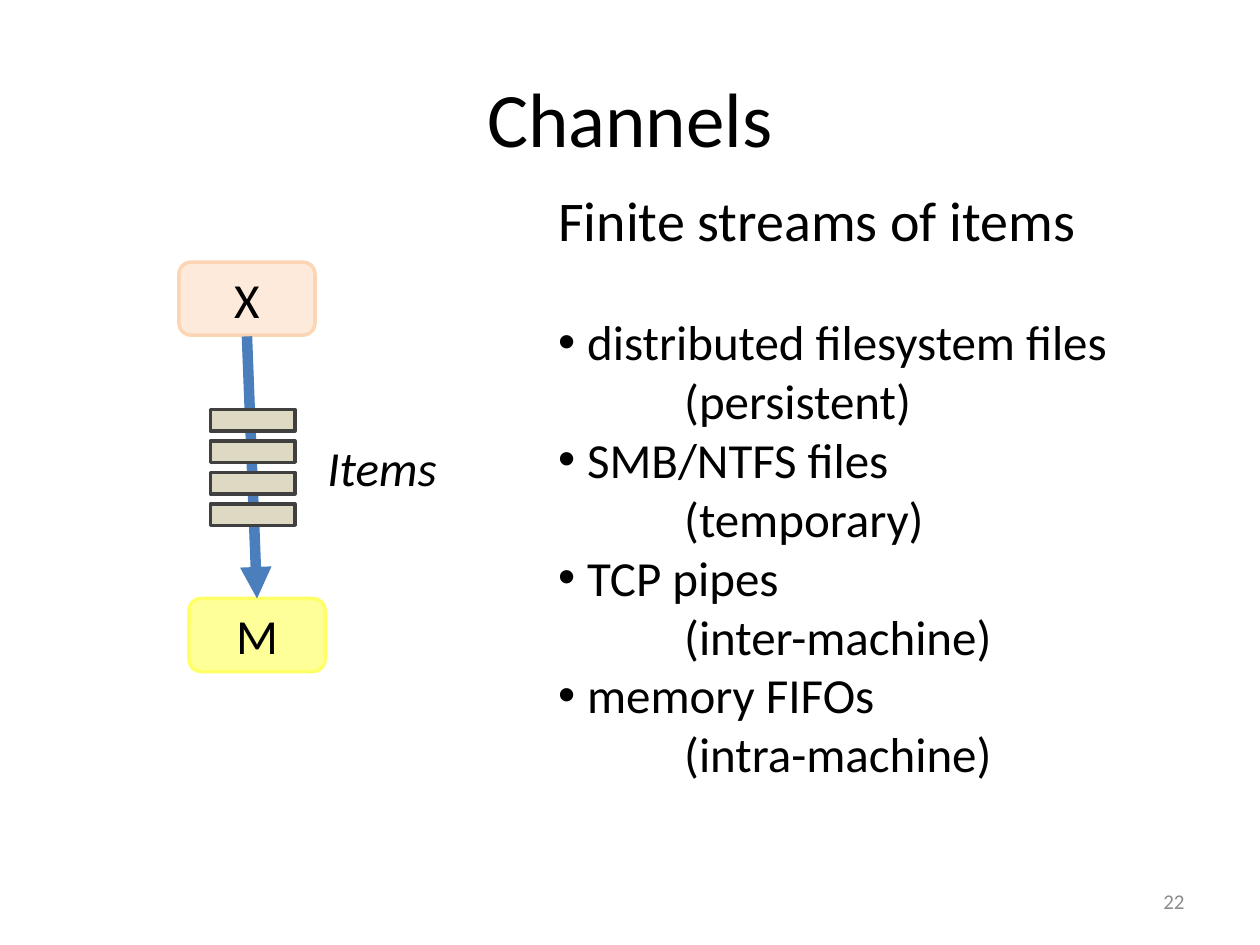
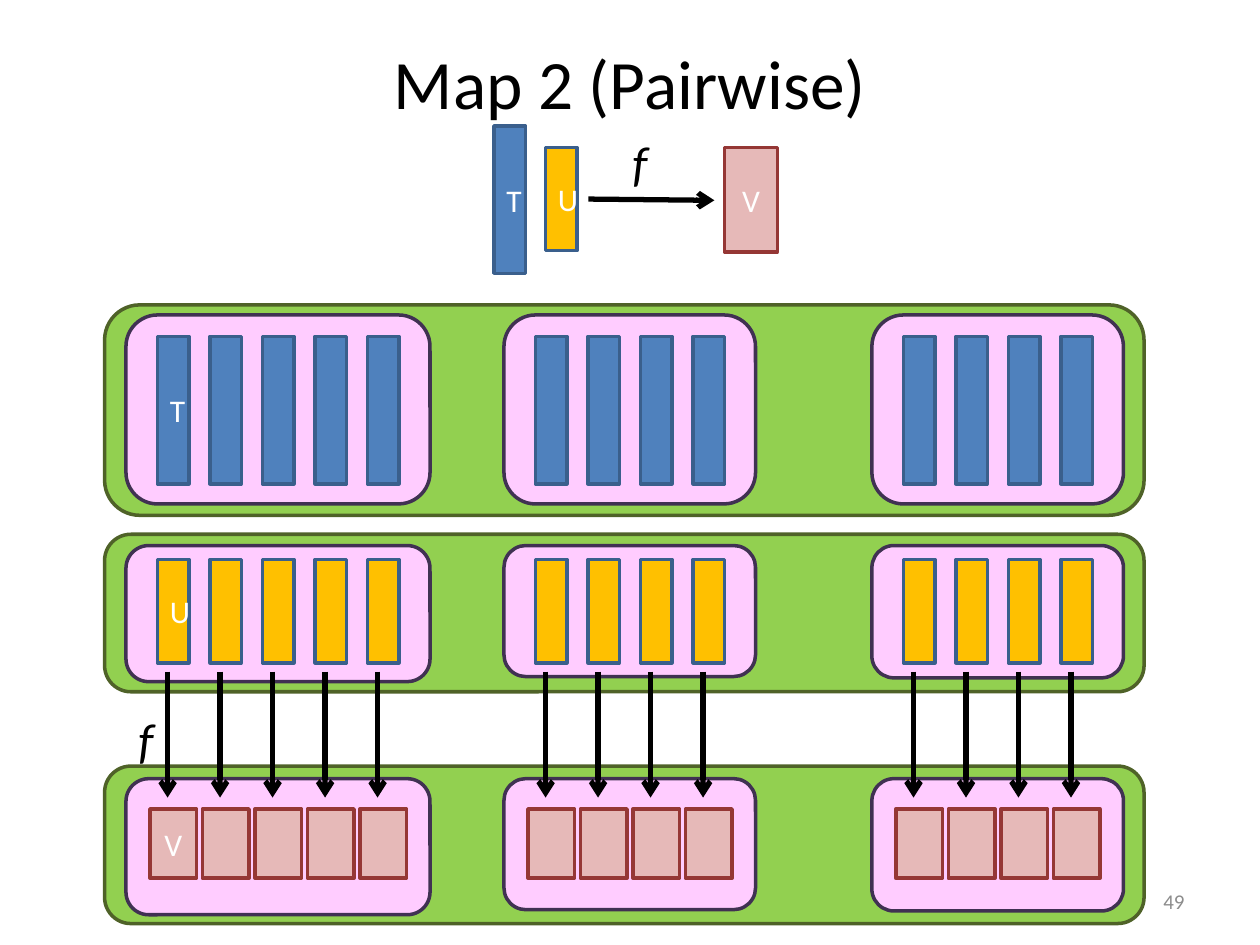
from dataclasses import dataclass
from pptx import Presentation
from pptx.dml.color import RGBColor
from pptx.enum.shapes import MSO_CONNECTOR as Connector, MSO_SHAPE as Preset
from pptx.enum.text import MSO_ANCHOR as Anchor, MSO_AUTO_SIZE as AutoSize, PP_ALIGN as Align
from pptx.oxml.ns import qn
from pptx.util import Inches, Pt
from lxml.etree import SubElement


@dataclass(frozen=True)
class Theme:
    font: str = "Calibri"
    ink: str = "000000"
    white: str = "FFFFFF"
    muted: str = "8C8C8C"
    channel: str = "4B7EBC"
    # Fill and outline of each kind of box
    source: tuple = ("FDEADA", "FCD5B5")
    target: tuple = ("FFFF99", "FFFF66")
    item: tuple = ("DDD9C3", "404040")
    band: tuple = ("92D050", "4F6228")
    partition: tuple = ("FFCCFF", "403152")
    t: tuple = ("4F81BD", "3A5F8C")
    u: tuple = ("FFC000", "3A5F8C")
    v: tuple = ("E6B9B8", "953735")
    title_size: float = 44
    tight_title_size: float = 39.6
    heading_size: float = 32
    body_size: float = 28
    record_size: float = 18
    number_size: float = 12
    outline: float = 2


THEME = Theme()

# Content: channels
CHANNELS_TITLE, CHANNELS_NUMBER = "Channels", "22"
CHANNELS_HEADING = "Finite streams of items"
CHANNEL_KINDS = [
    ("distributed filesystem files", "(persistent)"),
    ("SMB/NTFS files", "(temporary)"),
    ("TCP pipes", "(inter-machine)"),
    ("memory FIFOs", "(intra-machine)"),
]
VERTICES = [("X", (1.42, 2.08), THEME.source), ("M", (1.5, 4.75), THEME.target)]
VERTEX_SIZE = (1.08, 0.58)
ITEM_COUNT, ITEM_TOP, ITEM_PITCH = 4, 3.25, 0.25

# Content: pairwise map
MAP_TITLE, MAP_NUMBER = "Map 2 (Pairwise)", "49"
LEGEND = [
    ("T", (3.92, 1, 0.25, 1.17), THEME.t),
    ("U", (4.33, 1.17, 0.25, 0.82), THEME.u),
    ("V", (5.75, 1.17, 0.42, 0.83), THEME.v),
]
FUNCTION_LABELS = [(4.92, 1), (1, 5.58)]
PARTITIONS = [(1, 5), (4, 4), (6.92, 4)]  # left edge, number of records
RECORD_PITCH = 5 / 12
SHORT_PARTITIONS = (1.08, 1.04, 1.05)
COLLECTIONS = [
    dict(label="V", colors=THEME.v, band=(6.08, 1.25), top=6.18,
         heights=SHORT_PARTITIONS, inset=0.19, record=(6.42, 0.37, 0.55)),
    dict(label="U", colors=THEME.u, band=(4.24, 1.25), top=4.33,
         heights=SHORT_PARTITIONS, inset=0.25, record=(4.44, 0.25, 0.82)),
    dict(label="T", colors=THEME.t, band=(2.42, 1.67), top=2.5,
         heights=(1.5, 1.5, 1.5), inset=0.25, record=(2.67, 0.25, 1.17)),
]
BAND_LEFT, BAND_WIDTH = 0.83, 8.25
MAP_ARROW_INSET, MAP_ARROW_SPAN = 0.33, (5.33, 6.33)


# Shared helpers
def rgb(color):
    return RGBColor.from_string(color)


def write(paragraph, text, *, size, color=THEME.ink, italic=False, align=Align.LEFT, after=0):
    paragraph.alignment = align
    paragraph.space_before, paragraph.space_after = Pt(0), Pt(after)
    run = paragraph.add_run()
    run.text = text
    run.font.name, run.font.size = THEME.font, Pt(size)
    run.font.italic = italic
    run.font.color.rgb = rgb(color)


def set_indent(paragraph, left, bullet=None):
    """Indent a paragraph; with a bullet, hang it at the left edge."""
    props = paragraph._p.get_or_add_pPr()
    props.set("marL", str(Inches(left)))
    props.set("indent", str(Inches(-left if bullet else 0)))
    if bullet:
        SubElement(props, qn("a:buChar")).set("char", bullet)
    else:
        SubElement(props, qn("a:buNone"))


def place(shape, area):
    shape.left, shape.top, shape.width, shape.height = map(Inches, area)


def add_label(slide, area, text, *, wrap=False, anchor=Anchor.TOP, **style):
    frame = slide.shapes.add_textbox(*map(Inches, area)).text_frame
    frame.word_wrap, frame.vertical_anchor = wrap, anchor
    frame.auto_size = AutoSize.NONE if wrap else AutoSize.SHAPE_TO_FIT_TEXT
    write(frame.paragraphs[0], text, **style)


def add_box(slide, area, colors, text="", *, preset=Preset.RECTANGLE,
            size=THEME.record_size, color=THEME.white):
    box = slide.shapes.add_shape(preset, *map(Inches, area))
    fill, outline = colors
    box.shadow.inherit = False
    box.fill.solid()
    box.fill.fore_color.rgb = rgb(fill)
    box.line.color.rgb = rgb(outline)
    box.line.width = Pt(THEME.outline)
    if text:
        box.text_frame.vertical_anchor = Anchor.MIDDLE
        write(box.text_frame.paragraphs[0], text, size=size, color=color, align=Align.CENTER)


def add_arrow(slide, start, end, *, color=THEME.ink, width=3, head="arrow"):
    arrow = slide.shapes.add_connector(Connector.STRAIGHT, *map(Inches, start + end))
    arrow.line.color.rgb = rgb(color)
    arrow.line.width = Pt(width)
    SubElement(arrow.line._get_or_add_ln(), qn("a:tailEnd")).set("type", head)
    SubElement(arrow._element.spPr, qn("a:effectLst"))


def start_slide(deck, layout, title, number, *, height, size):
    slide = deck.slides.add_slide(deck.slide_layouts[layout])
    heading = slide.shapes.title
    place(heading, (0.5, 0.3, 9, height))
    heading.text_frame.vertical_anchor = Anchor.MIDDLE
    heading.text_frame.auto_size = AutoSize.NONE
    write(heading.text_frame.paragraphs[0], title, size=size, align=Align.CENTER)
    add_label(slide, (7.17, 6.95, 2.33, 0.4), number, wrap=True, anchor=Anchor.MIDDLE,
              size=THEME.number_size, color=THEME.muted, align=Align.RIGHT)
    return slide


# Slides
def build_channels(deck):
    slide = start_slide(deck, 1, CHANNELS_TITLE, CHANNELS_NUMBER,
                        height=1.25, size=THEME.title_size)

    # Channel between two vertices, with the items on it
    for name, corner, colors in VERTICES:
        add_box(slide, corner + VERTEX_SIZE, colors, name, preset=Preset.ROUNDED_RECTANGLE,
                size=THEME.body_size, color=THEME.ink)
    add_arrow(slide, (1.96, 2.67), (2.04, 4.75), color=THEME.channel, width=6, head="triangle")
    for i in range(ITEM_COUNT):
        add_box(slide, (1.67, ITEM_TOP + i * ITEM_PITCH, 0.67, 0.17), THEME.item)
    add_label(slide, (2.5, 3.42, 1.08, 0.57), "Items", size=THEME.body_size, italic=True)

    # Kinds of channel
    body = slide.placeholders[1]
    place(body, (4.33, 1.42, 4.67, 4.88))
    frame = body.text_frame
    frame.auto_size, frame.vertical_anchor = AutoSize.NONE, Anchor.TOP
    heading = frame.paragraphs[0]
    write(heading, CHANNELS_HEADING, size=THEME.heading_size, after=34)
    set_indent(heading, 0)
    for kind, lifetime in CHANNEL_KINDS:
        for text, indent, bullet in ((kind, 0.23, "•"), (lifetime, 1, None)):
            line = frame.add_paragraph()
            write(line, text, size=THEME.body_size)
            set_indent(line, indent, bullet)


def add_collection(slide, label, colors, band, top, heights, inset, record):
    """Draw a band holding partitions, each a row of records."""
    band_top, band_height = band
    record_top, width, height = record
    add_box(slide, (BAND_LEFT, band_top, BAND_WIDTH, band_height), THEME.band,
            preset=Preset.ROUNDED_RECTANGLE)
    for p, ((left, count), part_height) in enumerate(zip(PARTITIONS, heights)):
        add_box(slide, (left, top, count * RECORD_PITCH + 0.33, part_height), THEME.partition,
                preset=Preset.ROUNDED_RECTANGLE)
        for i in range(count):
            add_box(slide, (left + inset + i * RECORD_PITCH, record_top, width, height),
                    colors, label if p == i == 0 else "")


def build_pairwise_map(deck):
    slide = start_slide(deck, 5, MAP_TITLE, MAP_NUMBER,
                        height=0.7, size=THEME.tight_title_size)

    # Signature of f
    for name, area, colors in LEGEND:
        add_box(slide, area, colors, name)
    add_arrow(slide, (4.67, 1.58), (5.67, 1.59))

    # Collections and the map between them
    for collection in COLLECTIONS:
        add_collection(slide, **collection)
    arrow_top, arrow_bottom = MAP_ARROW_SPAN
    for left, count in PARTITIONS:
        for i in range(count):
            x = left + MAP_ARROW_INSET + i * RECORD_PITCH
            add_arrow(slide, (x, arrow_top), (x, arrow_bottom))
    for corner in FUNCTION_LABELS:
        add_label(slide, corner + (0.32, 0.57), "f", size=THEME.body_size, italic=True)


def main():
    deck = Presentation()
    deck.slide_width, deck.slide_height = Inches(10), Inches(7.5)
    build_channels(deck)
    build_pairwise_map(deck)
    deck.save("out.pptx")


if __name__ == "__main__":
    main()
